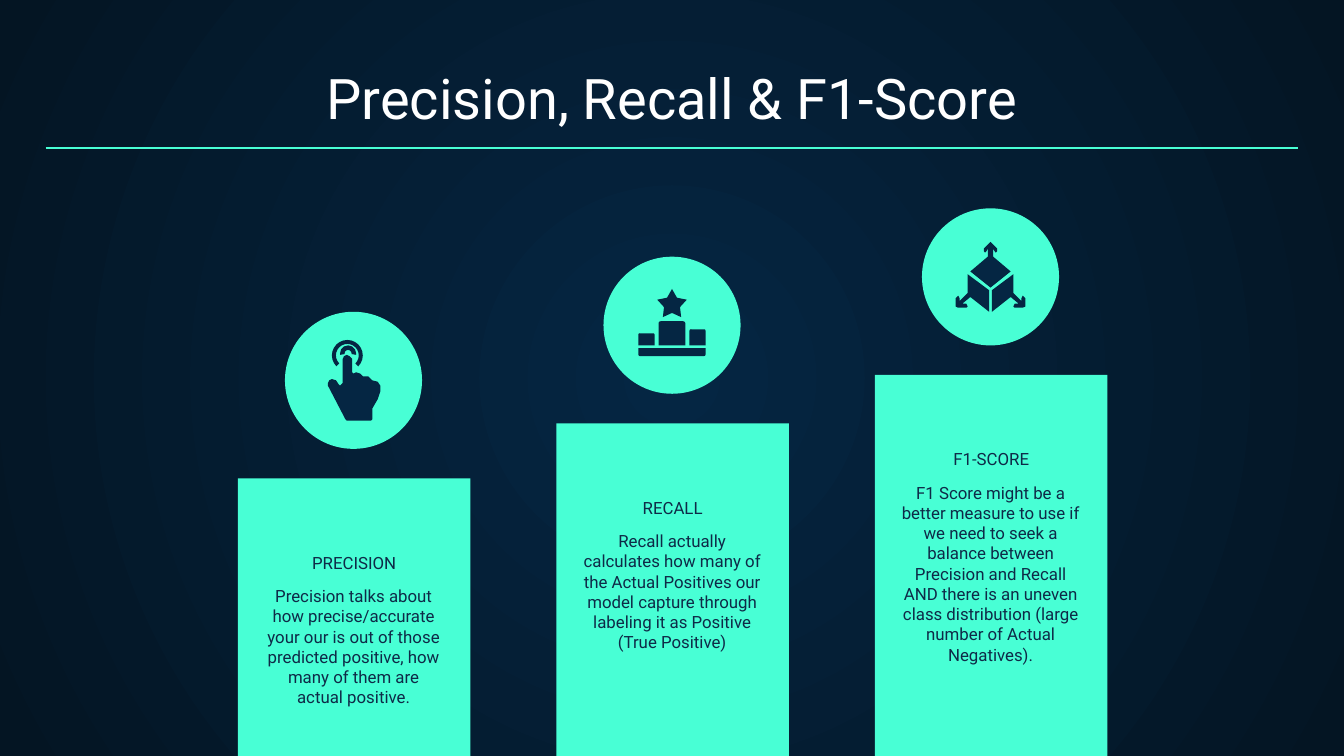
from dataclasses import dataclass

from lxml.etree import SubElement
from pptx import Presentation
from pptx.dml.color import RGBColor
from pptx.enum.shapes import MSO_CONNECTOR, MSO_SHAPE
from pptx.enum.text import MSO_ANCHOR, MSO_AUTO_SIZE, PP_ALIGN
from pptx.oxml.ns import qn
from pptx.util import Inches, Pt

EMU_PER_PX = 9144


@dataclass(frozen=True)
class Theme:
    font: str = "Roboto"
    title_size: int = 30
    text_size: int = 9
    rule_width: float = 0.75
    accent: RGBColor = RGBColor(0x48, 0xFF, 0xD5)
    text: RGBColor = RGBColor(0x0E, 0x2A, 0x47)
    title: RGBColor = RGBColor(0xFF, 0xFF, 0xFF)
    icon: RGBColor = RGBColor(0x05, 0x26, 0x43)
    edge: RGBColor = RGBColor(0x04, 0x15, 0x23)


THEME = Theme()


def px(*lengths):
    return [length * EMU_PER_PX for length in lengths]


def write_text(shape, text, size=THEME.text_size, color=THEME.text, anchor=MSO_ANCHOR.TOP):
    frame = shape.text_frame
    frame.word_wrap = True
    frame.auto_size = MSO_AUTO_SIZE.NONE
    frame.vertical_anchor = anchor
    frame.margin_left, frame.margin_top, frame.margin_right, frame.margin_bottom = px(10, 10, 10, 10)
    paragraph = frame.paragraphs[0]
    paragraph.alignment = PP_ALIGN.CENTER
    paragraph.line_spacing = 1.0
    run = paragraph.add_run()
    run.text = text
    run.font.name = THEME.font
    run.font.size = Pt(size)
    run.font.color.rgb = color


def paint(shape, color):
    shape.shadow.inherit = False
    shape.fill.solid()
    shape.fill.fore_color.rgb = color
    shape.line.fill.background()


def add_preset(slide, kind, box, color, adjustments=()):
    shape = slide.shapes.add_shape(kind, *px(*box))
    paint(shape, color)
    for index, value in enumerate(adjustments):
        shape.adjustments[index] = value


def add_outline(slide, center, points):
    builder = slide.shapes.build_freeform(*points[0], scale=EMU_PER_PX)
    builder.add_line_segments(points[1:], close=True)
    paint(builder.convert_to_shape(*px(*center)), THEME.icon)


def mirror(points):
    return [(-x, y) for x, y in reversed(points)]


def draw_hand(slide, center):
    x, y = center
    add_preset(slide, MSO_SHAPE.BLOCK_ARC, (x - 16, y - 30, 23, 23), THEME.icon, (81, 27, 0.13))
    add_preset(slide, MSO_SHAPE.BLOCK_ARC, (x - 10, y - 26, 12, 12), THEME.icon, (102, 6, 0.28))
    add_outline(slide, center, [
        (-5, -19), (-7, -18), (-8, -16), (-8, 2), (-10, 4), (-11, 3), (-13, 0),
        (-16, -1), (-18, 0), (-19, 2), (-19, 4), (-6, 29), (-5, 30), (13, 30),
        (14, 29), (14, 21), (18, 14), (20, 8), (20, 4), (18, 1), (14, 0),
        (13, -1), (11, -3), (7, -3), (5, -5), (2, -6), (0, -5), (-1, -6),
        (-1, -16), (-3, -18),
    ])


def draw_podium(slide, center):
    x, y = center
    add_preset(slide, MSO_SHAPE.STAR_5_POINT, (x - 11, y - 27, 22, 21), THEME.icon, (0.27,))
    for left, top, width, height in ((-25, 6, 12, 9), (-10, -3, 20, 18), (13, 3, 12, 12)):
        box = (x + left, y + top, width, height)
        add_preset(slide, MSO_SHAPE.ROUND_2_SAME_RECTANGLE, box, THEME.icon, (0.1, 0))
    add_preset(slide, MSO_SHAPE.ROUND_2_SAME_RECTANGLE, (x - 25, y + 17, 50, 6), THEME.icon, (0, 0.2))


def draw_cube(slide, center):
    right_face = [
        (17, -2), (1, 10), (1, 26), (15, 15), (21, 20), (18, 20), (17, 22),
        (18, 23), (24, 23), (26, 22), (26, 16), (24, 14), (23, 16), (23, 18), (17, 12),
    ]
    top_half = [
        (0, -26), (5, -21), (5, -19), (4, -18), (3, -19), (2, -21),
        (2, -15), (15, -4), (0, 8),
    ]
    add_outline(slide, center, right_face)
    add_outline(slide, center, mirror(right_face))
    add_outline(slide, center, top_half + mirror(top_half)[1:-1])


def add_background(slide):
    fill = slide.background.fill
    fill.gradient()
    for stop, color in zip(fill.gradient_stops, (THEME.icon, THEME.edge)):
        stop.color.rgb = color
    gradient = slide.element.find(".//" + qn("a:gradFill"))
    gradient.remove(gradient.find(qn("a:lin")))
    circle = SubElement(gradient, qn("a:path"), {"path": "circle"})
    SubElement(circle, qn("a:fillToRect"), dict.fromkeys("ltrb", "50000"))


def add_header(slide, box, title):
    left, top, width, height = box
    placeholder = slide.shapes.title
    placeholder.left, placeholder.top, placeholder.width, placeholder.height = px(*box)
    write_text(placeholder, title, THEME.title_size, THEME.title, MSO_ANCHOR.BOTTOM)
    rule_top = top + height + 3
    rule = slide.shapes.add_connector(
        MSO_CONNECTOR.STRAIGHT, *px(left, rule_top, left + width, rule_top))
    rule.line.color.rgb = THEME.accent
    rule.line.width = Pt(THEME.rule_width)
    SubElement(rule.element.spPr, qn("a:effectLst"))


def add_column(slide, box, heading, body, draw_icon):
    left, top, width, height = box
    add_preset(slide, MSO_SHAPE.RECTANGLE, box, THEME.accent)
    heading_box = slide.shapes.add_textbox(*px(left - 27, top + 59, width + 54, 21))
    write_text(heading_box, heading, anchor=MSO_ANCHOR.BOTTOM)
    body_box = slide.shapes.add_textbox(*px(left + 10, top + 70, width - 21, 55))
    write_text(body_box, body)
    circle_left, circle_top = left + 35, top - 124
    add_preset(slide, MSO_SHAPE.OVAL, (circle_left, circle_top, 102, 102), THEME.accent)
    draw_icon(slide, (circle_left + 51, circle_top + 51))


def main():
    presentation = Presentation()
    presentation.slide_width, presentation.slide_height = Inches(10), Inches(5.625)
    slide = presentation.slides.add_slide(presentation.slide_layouts[5])
    add_background(slide)
    add_header(slide, (34, 41, 932, 66), "Precision, Recall & F1-Score")
    columns = [
        (356, "PRECISION",
         "Precision talks about how precise/accurate your our is out of those "
         "predicted positive, how many of them are actual positive.", draw_hand),
        (315, "RECALL",
         "Recall actually calculates how many of the Actual Positives our model "
         "capture through labeling it as Positive (True Positive)", draw_podium),
        (279, "F1-SCORE",
         "F1 Score might be a better measure to use if we need to seek a balance "
         "between Precision and Recall AND there is an uneven class distribution "
         "(large number of Actual Negatives).", draw_cube),
    ]
    for index, (top, heading, body, draw_icon) in enumerate(columns):
        add_column(slide, (177 + 237 * index, top, 173, 566 - top), heading, body, draw_icon)
    presentation.save("out.pptx")


if __name__ == "__main__":
    main()
